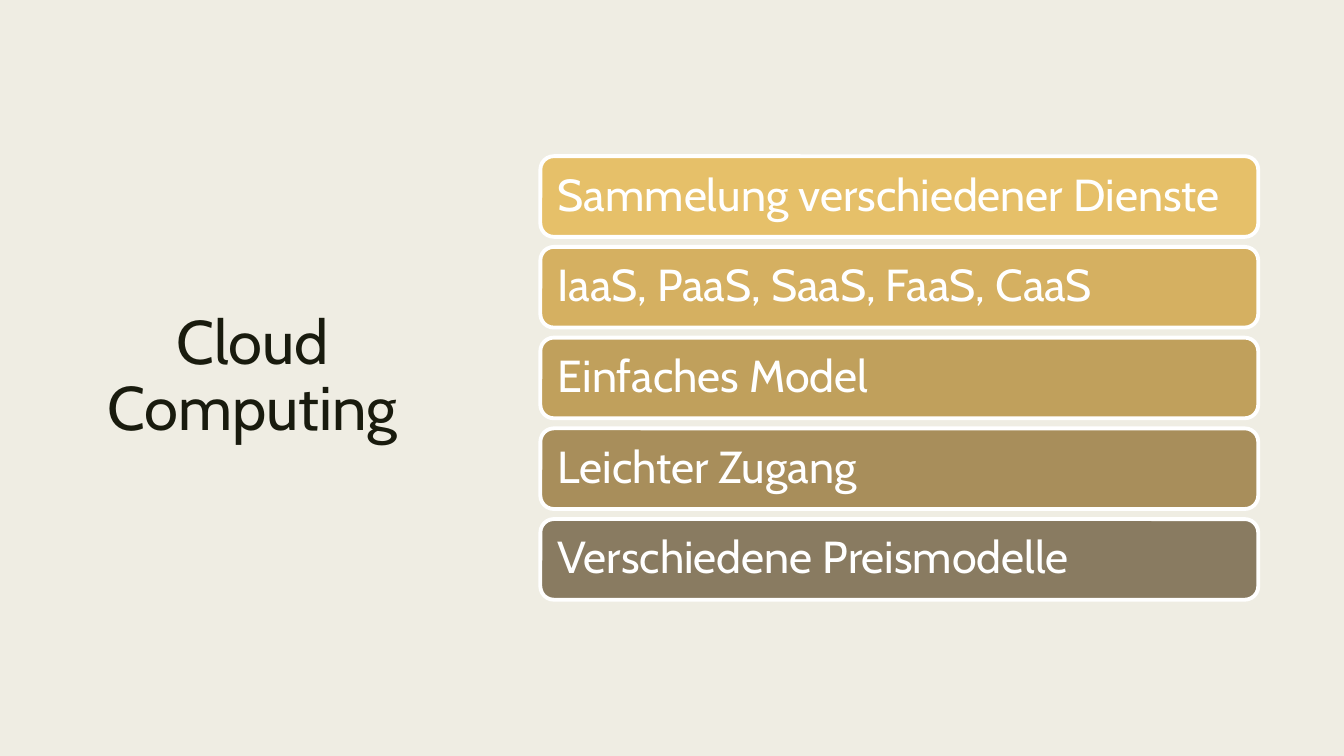
from pptx import Presentation
from pptx import util as u
from pptx.dml import color
from pptx.enum import shapes, text

COLORS = {
    "background": "EFEDE3",
    "title": "191B0E",
    "white": "FFFFFF",
    "gold": "E6C069",
    "sand": "D5B061",
    "ochre": "C0A05C",
    "bronze": "A88E5B",
    "taupe": "897B61",
}

TOPICS = [
    ("Sammelung verschiedener Dienste", "gold"),
    ("IaaS, PaaS, SaaS, FaaS, CaaS", "sand"),
    ("Einfaches Model", "ochre"),
    ("Leichter Zugang", "bronze"),
    ("Verschiedene Preismodelle", "taupe"),
]
BAR_LEFT, BAR_TOP, BAR_WIDTH, BAR_HEIGHT = 386, 111.6, 512.8, 57.6
BAR_PITCH = 64.8


class SlideBuilder:
    font_name = "Cabin"

    def __init__(self, slide):
        self.slide = slide

    def color(self, name):
        return color.RGBColor.from_string(COLORS[name])

    def background(self, name):
        fill = self.slide.background.fill
        fill.solid()
        fill.fore_color.rgb = self.color(name)

    def label(self, shape, wording, size, color_name, alignment, spacing, inset):
        frame = shape.text_frame
        frame.word_wrap = True
        frame.auto_size = text.MSO_AUTO_SIZE.NONE
        frame.vertical_anchor = text.MSO_ANCHOR.MIDDLE
        frame.margin_left = frame.margin_right = u.Pt(inset)
        frame.margin_top = frame.margin_bottom = u.Pt(inset)
        paragraph = frame.paragraphs[0]
        paragraph.alignment = alignment
        paragraph.line_spacing = spacing
        run = paragraph.add_run()
        run.text = wording
        run.font.name = self.font_name
        run.font.size = u.Pt(size)
        run.font.color.rgb = self.color(color_name)

    def title(self, wording, left, top, width, height):
        shape = self.slide.shapes.title
        shape.left, shape.top = u.Pt(left), u.Pt(top)
        shape.width, shape.height = u.Pt(width), u.Pt(height)
        self.label(shape, wording, 44, "title", text.PP_ALIGN.CENTER, 0.89, 7.2)

    def bar(self, wording, fill_name, left, top, width, height):
        shape = self.slide.shapes.add_shape(
            shapes.MSO_SHAPE.ROUNDED_RECTANGLE,
            u.Pt(left), u.Pt(top), u.Pt(width), u.Pt(height),
        )
        shape.shadow.inherit = False
        shape.fill.solid()
        shape.fill.fore_color.rgb = self.color(fill_name)
        shape.line.color.rgb = self.color("white")
        shape.line.width = u.Pt(2.75)
        self.label(shape, wording, 32, "white", text.PP_ALIGN.LEFT, 0.9, 9.6)


def main():
    presentation = Presentation()
    presentation.slide_width, presentation.slide_height = u.Pt(960), u.Pt(540)
    slide = presentation.slides.add_slide(presentation.slide_layouts[5])
    builder = SlideBuilder(slide)
    builder.background("background")
    builder.title("Cloud Computing", 50.4, 50.4, 260, 439.2)
    for index, (topic, fill_name) in enumerate(TOPICS):
        top = BAR_TOP + index * BAR_PITCH
        builder.bar(topic, fill_name, BAR_LEFT, top, BAR_WIDTH, BAR_HEIGHT)
    presentation.save("out.pptx")


if __name__ == "__main__":
    main()
